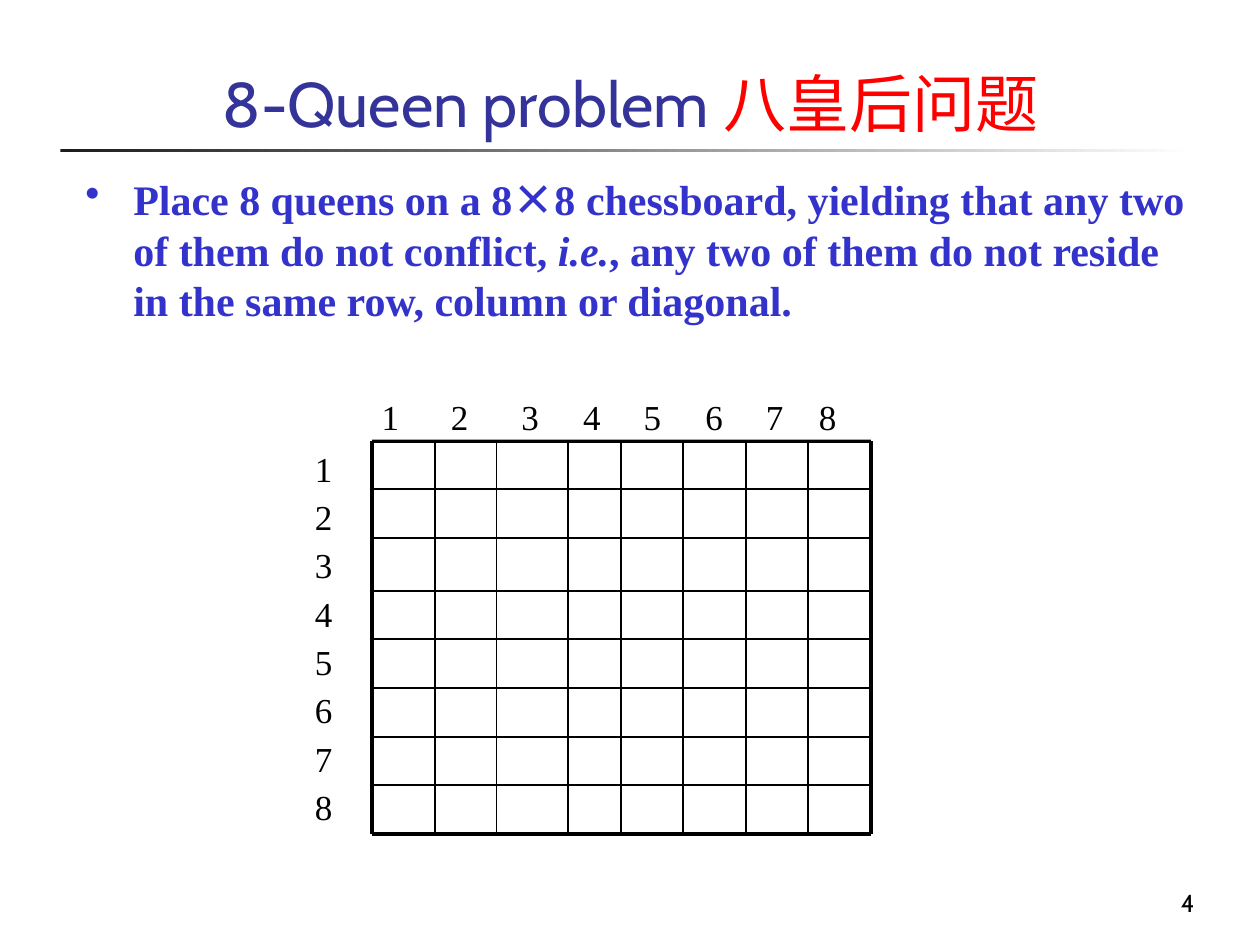
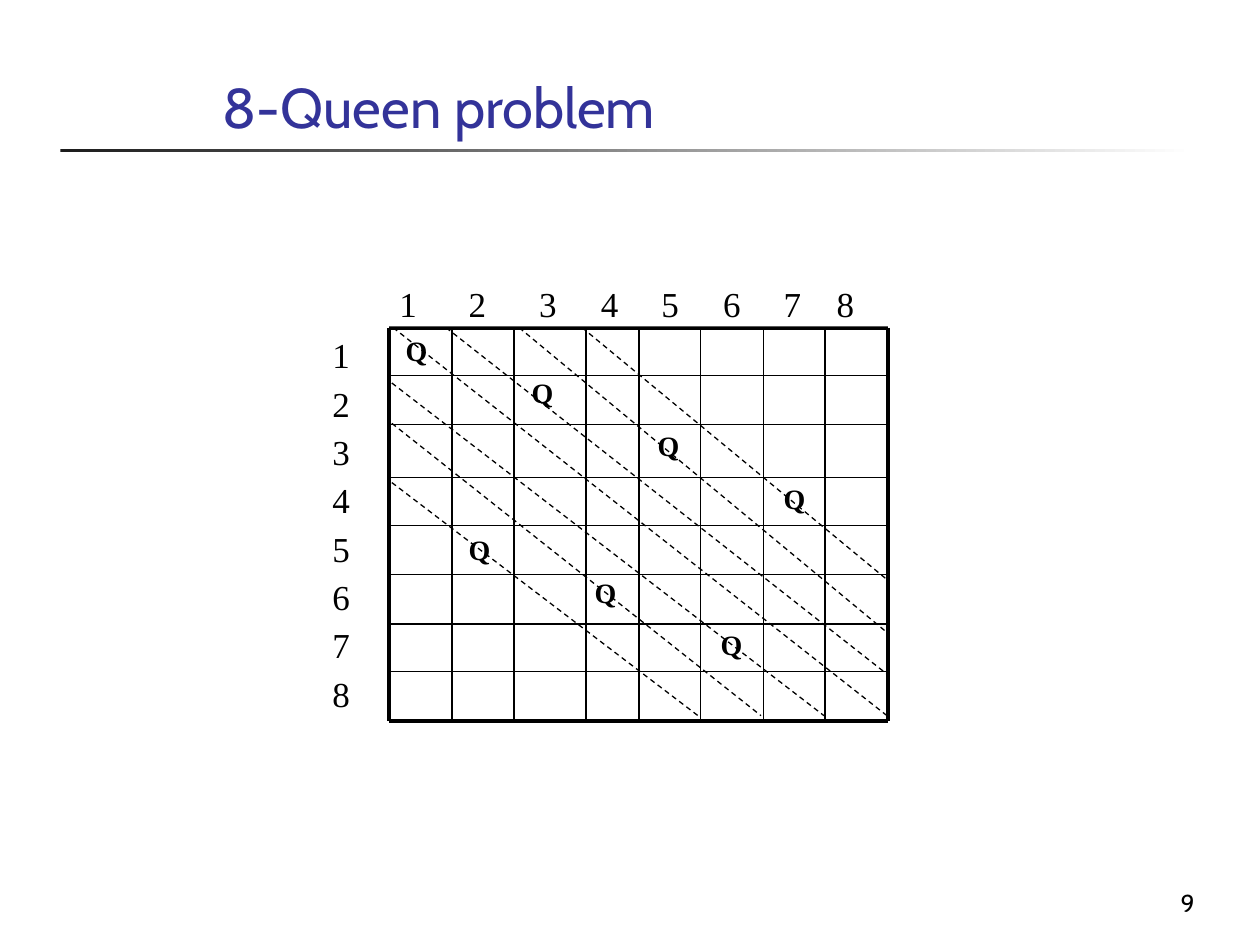
"""Build two slides on the 8-queen problem with python-pptx."""
from itertools import accumulate

from lxml.etree import SubElement
from pptx import Presentation
from pptx.dml.color import RGBColor
from pptx.enum.dml import MSO_LINE
from pptx.enum.shapes import MSO_CONNECTOR, MSO_SHAPE
from pptx.enum.text import MSO_ANCHOR as ANCHOR, PP_ALIGN as ALIGN
from pptx.oxml.ns import qn
from pptx.util import Inches, Pt

BLACK = RGBColor(0x00, 0x00, 0x00)
WHITE = RGBColor(0xFF, 0xFF, 0xFF)
CHARCOAL = RGBColor(0x1C, 0x1C, 0x1C)
NAVY = RGBColor(0x33, 0x33, 0x99)
BLUE = RGBColor(0x33, 0x33, 0xCC)
RED = RGBColor(0xFF, 0x00, 0x00)
SANS, SERIF, CJK = "Cabin", "Times New Roman", "Noto Sans CJK SC"

SLIDES = [
    {"title": [("8-Queen problem ", NAVY), ("八皇后问题", RED)], "title_size": 36,
     "number": "4", "board": (2.95, 3.5)},
    {"title": [("8-Queen problem", NAVY)], "title_size": 32,
     "number": "9", "board": (3.09, 2.6)},
]
RULE = [
    ("Place 8 queens on a 8", SERIF, False),
    ("×", CJK, False),
    ("8 chessboard, yielding that any two of them do not conflict, ", SERIF, False),
    ("i.e.", SERIF, True),
    (", any two of them do not reside in the same row, column or diagonal.", SERIF, False),
]
LABELS = "12345678"
COL_WIDTHS = [0.5, 0.49, 0.57, 0.42, 0.49, 0.5, 0.49, 0.5]
ROW_HEIGHTS = [0.38, 0.39, 0.42, 0.38, 0.39, 0.39, 0.38, 0.39]
LABEL_STOPS = [0.2, 0.75, 1.31, 1.8, 2.28, 2.77, 3.25, 3.67]
QUEENS = [(1, 0), (3, 0.33), (5, 0.75), (7, 1.17), (2, 1.58), (4, 1.92), (6, 2.33)]
TOP_DIAGONALS = [(0.03, 3.08), (0.45, 2.75), (1.03, 2.42), (1.53, 2.0)]
LEFT_DIAGONALS = [(0.44, 3.45), (0.76, 2.95), (1.23, 2.45)]
COLS = list(accumulate(COL_WIDTHS, initial=0))
ROWS = list(accumulate(ROW_HEIGHTS, initial=0))


def style(r, size, color, font=SERIF, bold=False, italic=False):
    f = r.font
    f.size, f.name, f.bold, f.italic = Pt(size), font, bold, italic
    f.color.rgb = color
    SubElement(r._r.get_or_add_rPr(), qn("a:ea")).set("typeface", CJK)


def add_text(shapes, box, text="", size=20, font=SERIF, bold=False,
             align=ALIGN.LEFT, anchor=ANCHOR.TOP, fill=None):
    sp = shapes.add_textbox(*map(Inches, box))
    if fill is not None:
        sp.fill.solid()
        sp.fill.fore_color.rgb = fill
    tf = sp.text_frame
    tf.word_wrap, tf.vertical_anchor = True, anchor
    tf.text = text
    for p in tf.paragraphs:
        p.alignment = align
        for r in p.runs:
            style(r, size, BLACK, font, bold)
    return tf


def add_line(shapes, origin, start, end, width, dash=None):
    x, y = origin
    ends = (x + start[0], y + start[1], x + end[0], y + end[1])
    ln = shapes.add_connector(MSO_CONNECTOR.STRAIGHT, *map(Inches, ends))
    ln.line.color.rgb, ln.line.width = BLACK, Pt(width)
    if dash is not None:
        ln.line.dash_style = dash
    SubElement(ln._element.spPr, qn("a:effectLst"))


def add_frame(slide, title, title_size, number):
    band = slide.shapes.add_shape(
        MSO_SHAPE.RECTANGLE, *map(Inches, (0.48, 1.18, 9, 0.03)))
    band.shadow.inherit = False
    band.line.fill.background()
    band.fill.gradient()
    band.fill.gradient_angle = 0
    for stop, color in zip(band.fill.gradient_stops, (CHARCOAL, WHITE)):
        stop.color.rgb = color
    p = add_text(slide.shapes, (1.67, 0.17, 7.86, 0.99),
                 anchor=ANCHOR.BOTTOM).paragraphs[0]
    for text, color in title:
        r = p.add_run()
        r.text = text
        style(r, title_size, color, SANS)
    add_text(slide.shapes, (7.5, 6.83, 2.08, 0.5), number, 14, SANS,
             align=ALIGN.RIGHT, anchor=ANCHOR.BOTTOM)


def add_board(slide, origin):
    shapes = slide.shapes.add_group_shape().shapes
    x, y = origin
    right, bottom = COLS[-1], ROWS[-1]
    for row in ROWS:
        add_line(shapes, origin, (0, row), (right, row),
                 2.25 if row in (0, bottom) else 1)
    for col in COLS:
        add_line(shapes, origin, (col, 0), (col, bottom),
                 2.25 if col in (0, right) else 1)
    tf = add_text(shapes, (x - 0.15, y - 0.41, 4.27, 0.4),
                  "".join("\t" + n for n in LABELS), fill=WHITE)
    tabs = SubElement(tf.paragraphs[0]._p.get_or_add_pPr(), qn("a:tabLst"))
    for stop in LABEL_STOPS:
        tab = SubElement(tabs, qn("a:tab"))
        tab.set("pos", str(Inches(stop)))
        tab.set("algn", "ctr")
    tf = add_text(shapes, (x - 0.55, y, 0.47, 3.35), "\n".join(LABELS), fill=WHITE)
    for p in tf.paragraphs[1:]:
        p.line_spacing = 1.15


def add_rule(slide):
    p = add_text(slide.shapes, (0.58, 1.33, 9, 5.37)).paragraphs[0]
    pPr = p._p.get_or_add_pPr()
    pPr.set("marL", str(Inches(0.38)))
    pPr.set("indent", str(-Inches(0.38)))
    color = SubElement(SubElement(pPr, qn("a:buClr")), qn("a:srgbClr"))
    color.set("val", str(BLUE))
    SubElement(pPr, qn("a:buChar")).set("char", "•")
    for text, font, italic in RULE:
        r = p.add_run()
        r.text = text
        style(r, 24, BLUE, font, True, italic)


def add_queens(slide, origin):
    x, y = origin
    for col, drop in QUEENS:
        add_text(slide.shapes, (x + 0.03 + 0.5 * (col - 1), y + drop, 0.49, 0.39),
                 "Q", 16, bold=True)
    ends = [((left, 0), (3.95, low)) for left, low in TOP_DIAGONALS]
    ends += [((0.02, top), (far, 3.08)) for top, far in LEFT_DIAGONALS]
    for start, end in ends:
        add_line(slide.shapes, origin, start, end, 0.75, MSO_LINE.DASH)


def main():
    prs = Presentation()
    prs.slide_width, prs.slide_height = Inches(10), Inches(7.5)
    slides = []
    for item in SLIDES:
        slide = prs.slides.add_slide(prs.slide_layouts[6])
        add_frame(slide, item["title"], item["title_size"], item["number"])
        add_board(slide, item["board"])
        slides.append(slide)
    add_rule(slides[0])
    add_queens(slides[1], SLIDES[1]["board"])
    prs.save("out.pptx")


if __name__ == "__main__":
    main()
